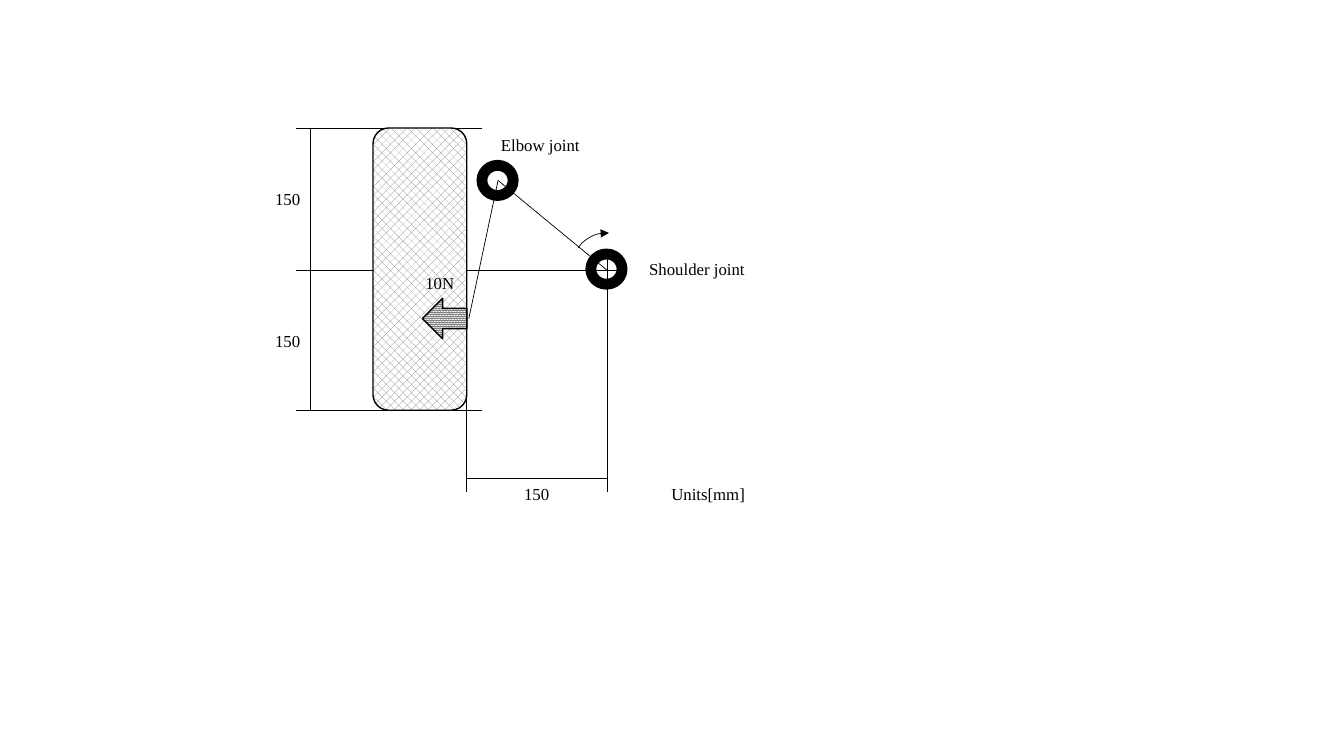
from lxml.etree import SubElement
from pptx import Presentation
from pptx.dml.color import RGBColor
from pptx.enum.dml import MSO_PATTERN
from pptx.enum.shapes import MSO_CONNECTOR, MSO_SHAPE
from pptx.enum.text import MSO_AUTO_SIZE
from pptx.oxml.ns import qn
from pptx.util import Inches, Pt

COLORS = {"ink": "000000", "hatch": "808080", "paper": "FFFFFF"}

deck = Presentation()
deck.slide_width, deck.slide_height = Inches(13.33), Inches(7.5)
page = deck.slides.add_slide(deck.slide_layouts[6])


def color(name):
    return RGBColor.from_string(COLORS[name])


def add_outlined(preset, left, top, width, height, weight, pattern=None):
    """Add a black-outlined shape, hatched if a pattern is given, else unfilled."""
    shape = page.shapes.add_shape(
        preset, Inches(left), Inches(top), Inches(width), Inches(height))
    shape.shadow.inherit = False
    shape.line.color.rgb = color("ink")
    shape.line.width = Pt(weight)
    if pattern is None:
        shape.fill.background()
    else:
        shape.fill.patterned()
        shape.fill.pattern = MSO_PATTERN.from_xml(pattern)
        shape.fill.fore_color.rgb = color("hatch")
        shape.fill.back_color.rgb = color("paper")
    return shape


# Key positions of the drawing
pad_left, pad_right = 3.7, 4.63
pad_top, pad_bottom = 1.27, 4.07
elbow_x, elbow_y = 4.94, 1.79
shoulder_x, shoulder_y = 6.02, 2.68
dimension_left, dimension_bottom = 3.08, 4.75

# The pad hides the part of the dimension lines that runs behind it
lines_behind_pad = [
    (dimension_left, pad_top, dimension_left, pad_bottom),
    (2.94, shoulder_y, 6.21, shoulder_y),
    (2.94, pad_top, 4.78, pad_top),
    (2.94, pad_bottom, 4.78, pad_bottom),
]
lines_before_pad = [
    (shoulder_x, 2.49, shoulder_x, 4.88),
    (pad_right, dimension_bottom, shoulder_x, dimension_bottom),
    (pad_right, 2.49, pad_right, 4.88),
    (elbow_x, elbow_y, shoulder_x, shoulder_y),
    (4.65, 3.16, elbow_x, elbow_y),
]
for group in (lines_behind_pad, lines_before_pad):
    if group is lines_before_pad:
        add_outlined(MSO_SHAPE.ROUNDED_RECTANGLE, pad_left, pad_top,
                     pad_right - pad_left, pad_bottom - pad_top, 1, "pct40")
    for ends in group:
        line = page.shapes.add_connector(
            MSO_CONNECTOR.STRAIGHT, *[Inches(value) for value in ends])
        line.line.color.rgb = color("ink")
        line.line.width = Pt(0.5)
        SubElement(line.element.spPr, qn("a:effectLst"))

# Joints, force and direction of rotation
for left, top in [(4.78, 1.64), (5.86, 2.52)]:
    add_outlined(MSO_SHAPE.OVAL, left, top, 0.31, 0.3, 7.75)

force = add_outlined(MSO_SHAPE.RIGHT_ARROW, 4.19, 2.96, 0.44, 0.4, 1, "pct90")
force.rotation = 180

turn = add_outlined(MSO_SHAPE.ARC, 5.67, 2.31, 0.7, 0.7, 0.5)
turn.rotation = 296.6
turn.adjustments[0] = 167.075
turn.adjustments[1] = 202.044
SubElement(turn.element.spPr.find(qn("a:ln")), qn("a:tailEnd"), type="triangle")

labels = [
    ("150", 2.63, 1.82, 0.45),
    ("150", 2.63, 3.23, 0.45),
    ("150", 5.1, 4.75, 0.45),
    ("10N", 4.12, 2.66, 0.49),
    ("Shoulder joint", 6.34, 2.52, 1.16),
    ("Elbow joint", 4.87, 1.29, 0.99),
    ("Units[mm]", 6.56, 4.75, 0.94),
]
for text, left, top, width in labels:
    box = page.shapes.add_textbox(
        Inches(left), Inches(top), Inches(width), Inches(0.3))
    box.text_frame.word_wrap = False
    box.text_frame.auto_size = MSO_AUTO_SIZE.SHAPE_TO_FIT_TEXT
    span = box.text_frame.paragraphs[0].add_run()
    span.text = text
    span.font.name = "Times New Roman"
    span.font.size = Pt(12)
    span.font.color.rgb = color("ink")

deck.save("out.pptx")
